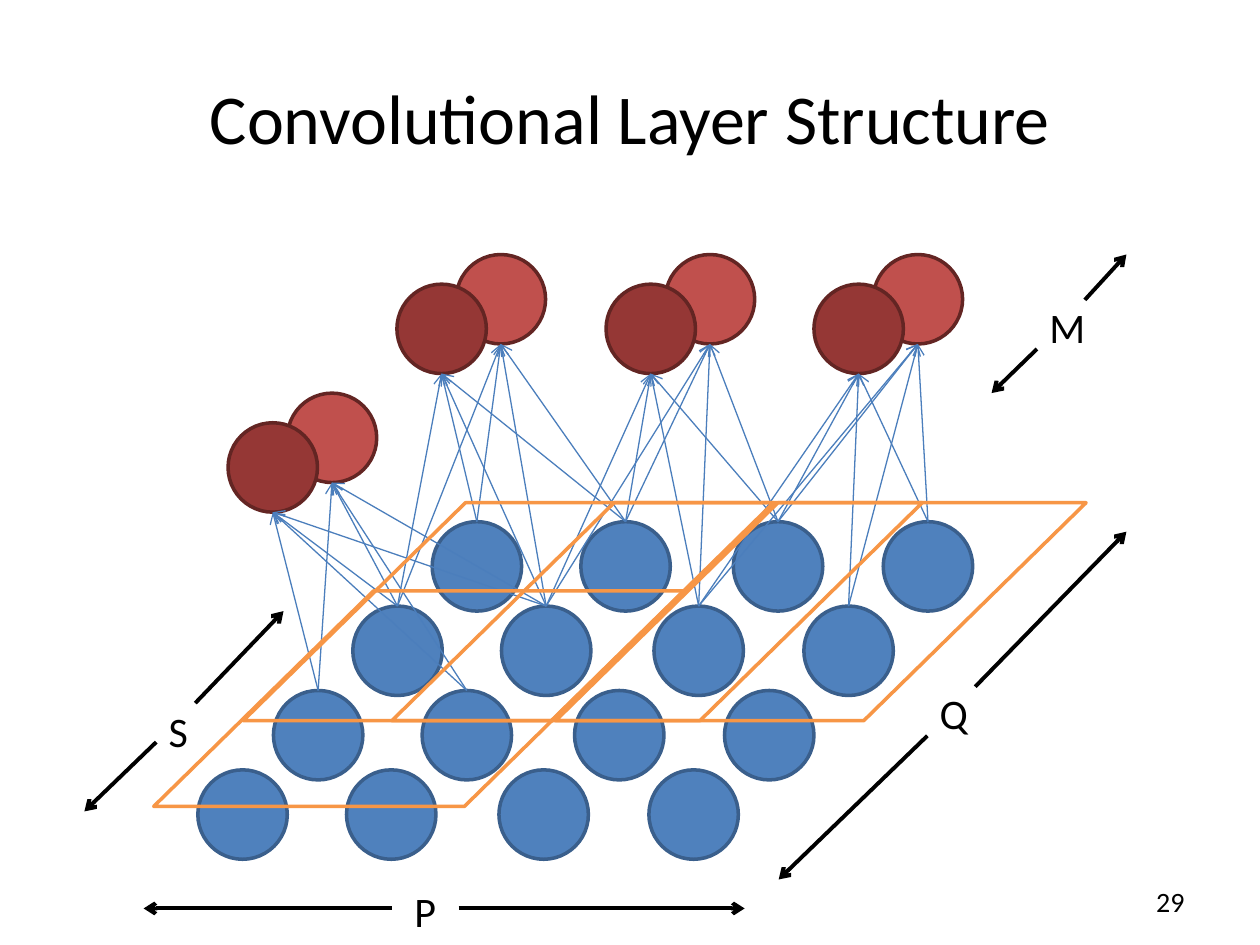
from lxml import etree
from pptx import Presentation
from pptx.dml.color import RGBColor
from pptx.enum.shapes import MSO_CONNECTOR, MSO_SHAPE
from pptx.enum.text import MSO_ANCHOR, MSO_AUTO_SIZE, PP_ALIGN
from pptx.oxml.ns import qn
from pptx.util import Inches, Pt

OVAL, SLANT = MSO_SHAPE.OVAL, MSO_SHAPE.PARALLELOGRAM
LINE = MSO_CONNECTOR.STRAIGHT
LEFT, CENTER, RIGHT = PP_ALIGN.LEFT, PP_ALIGN.CENTER, PP_ALIGN.RIGHT
TOP, MIDDLE = MSO_ANCHOR.TOP, MSO_ANCHOR.MIDDLE
GROW, FIXED = MSO_AUTO_SIZE.SHAPE_TO_FIT_TEXT, MSO_AUTO_SIZE.NONE

BLACK = RGBColor(0x00, 0x00, 0x00)
BLUE = RGBColor(0x4F, 0x81, 0xBD)
NAVY = RGBColor(0x3A, 0x5F, 0x8C)
WIRE = RGBColor(0x4B, 0x7E, 0xBC)
RED = RGBColor(0xC0, 0x50, 0x4D)
BRICK = RGBColor(0x95, 0x37, 0x35)
WINE = RGBColor(0x63, 0x25, 0x23)
ORANGE = RGBColor(0xF7, 0x96, 0x46)

TITLE = "Convolutional Layer Structure"
NUMBER = "29"
SIZE = 0.71
COLS = (0, 1.18, 2.39, 3.58)
ROWS = ((3.43, 4.14), (2.8, 4.81), (2.17, 5.48), (1.57, 6.11))
MAPS = ((RED, 0, 0), (BRICK, -0.47, 0.235))
UNITS = (
    {"at": (3.62, 2.02), "row": 0, "col": 0},
    {"at": (5.28, 2.02), "row": 0, "col": 1},
    {"at": (6.93, 2.02), "row": 0, "col": 2},
    {"at": (2.28, 3.12), "row": 1, "col": 0},
)
FRAMES = (
    (1.22, 4.69, 1.71),
    (4.41, 3.99, 1.73),
    (3.11, 3.99, 1.73),
    (1.93, 3.99, 1.73),
)
AXES = (
    ("P", (3.19, 6.98, 0.51, 0.5), ((3.11, 7.21, 1.14, 7.21), (3.64, 7.21, 5.91, 7.21))),
    ("Q", (7.36, 5.41, 0.51, 0.5), ((7.36, 5.84, 6.18, 6.98), (7.74, 5.45, 8.94, 4.22))),
    ("M", (8.23, 2.34, 0.51, 0.5), ((8.23, 2.77, 7.87, 3.12), (8.61, 2.38, 8.94, 2.02))),
    ("S", (1.24, 5.55, 0.41, 0.41), ((1.24, 5.89, 0.67, 6.44), (1.55, 5.58, 2.25, 4.85))),
)

deck = Presentation()
deck.slide_width, deck.slide_height = Inches(10), Inches(7.5)
slide = deck.slides.add_slide(deck.slide_layouts[6])


def add_text(home, text, at, size, align=LEFT, anchor=TOP, fit=FIXED):
    box = home.add_textbox(*map(Inches, at))
    frame = box.text_frame
    for name, value in {"word_wrap": True, "auto_size": fit, "vertical_anchor": anchor}.items():
        setattr(frame, name, value)
    para = frame.paragraphs[0]
    para.text, para.alignment = text, align
    font = para.runs[0].font
    for name, value in {"name": "Calibri", "size": Pt(size)}.items():
        setattr(font, name, value)
    font.color.rgb = BLACK


def add_form(kind, at, fill, edge):
    form = slide.shapes.add_shape(kind, *map(Inches, at))
    form.shadow.inherit = False
    if fill is None:
        form.fill.background()
    else:
        form.fill.solid()
        form.fill.fore_color.rgb = fill
    form.line.color.rgb = edge
    form.line.width = Pt(2)
    return form


def add_arrow(home, ends, color, width):
    arrow = home.add_connector(LINE, *map(Inches, ends))
    arrow.line.color.rgb = color
    arrow.line.width = Pt(width)
    tail = etree.SubElement(arrow.line._get_or_add_ln(), qn("a:tailEnd"))
    tail.set("type", "arrow")
    etree.SubElement(arrow._element.spPr, qn("a:effectLst"))


def spot(row, col):
    left, top = ROWS[row]
    return left + COLS[col], top


add_text(slide.shapes, TITLE, (0.5, 0.3, 9, 1.25), 40, CENTER, MIDDLE)

for row in range(len(ROWS)):
    for col in range(len(COLS)):
        add_form(OVAL, (*spot(row, col), SIZE, SIZE), BLUE, NAVY)

for unit in UNITS:
    left, top = unit["at"]
    for fill, dx, dy in MAPS:
        add_form(OVAL, (left + dx, top + dy, SIZE, SIZE), fill, WINE)

for unit in UNITS:
    left, top = unit["at"]
    for fill, dx, dy in MAPS:
        goal = left + dx + SIZE / 2, top + dy + SIZE
        for row in (unit["row"], unit["row"] + 1):
            for col in (unit["col"], unit["col"] + 1):
                x, y = spot(row, col)
                add_arrow(slide.shapes, (x + SIZE / 2, y, *goal), WIRE, 0.75)

for left, top, high in FRAMES:
    frame = add_form(SLANT, (left, top, 4.21, high), None, ORANGE)
    frame.adjustments[0] = 1.02

for name, at, arrows in AXES:
    group = slide.shapes.add_group_shape().shapes
    for ends in arrows:
        add_arrow(group, ends, BLACK, 2.25)
    add_text(group, name, at, 24, fit=GROW)

add_text(slide.shapes, NUMBER, (7.17, 6.95, 2.33, 0.4), 16, RIGHT, MIDDLE)
deck.save("out.pptx")
